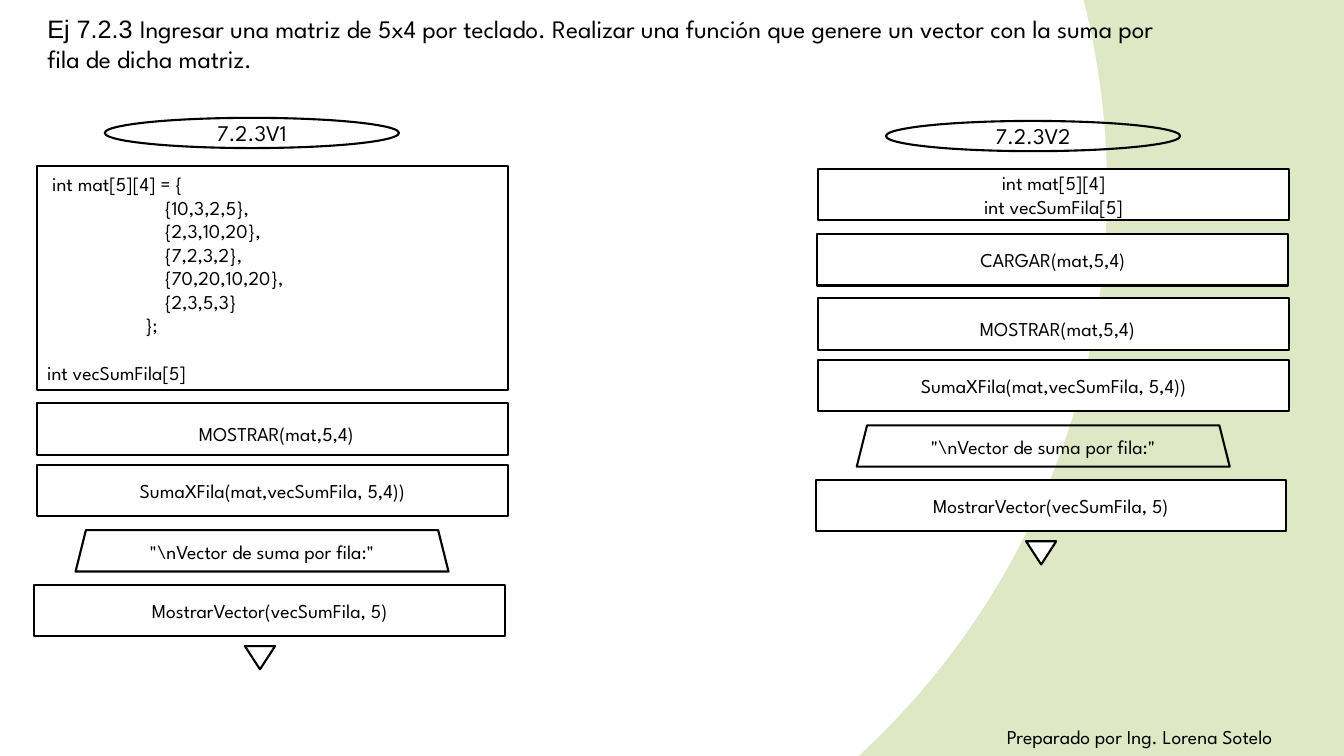
"""Build the slide that compares two flow diagrams for the row sums of a matrix."""
from pptx import Presentation
from pptx.dml.color import RGBColor
from pptx.enum.shapes import MSO_SHAPE as SHAPE
from pptx.enum.text import MSO_ANCHOR as ANCHOR, MSO_AUTO_SIZE as AUTO, PP_ALIGN as ALIGN
from pptx.oxml import parse_xml
from pptx.oxml.ns import nsdecls
from pptx.util import Pt

BLACK = RGBColor(0x00, 0x00, 0x00)
WHITE = RGBColor(0xFF, 0xFF, 0xFF)
GREEN = RGBColor(0xDF, 0xE8, 0xC4)
FONT = "League Spartan"
BOX_W, BOX_H = 336.2, 36.7
V1_X, V2_X = 26.6, 584.6
CODE = [
    ("int mat[5][4] = {", 3.6, 0),
    ("{10,3,2,5},", 84, 0),
    ("{2,3,10,20},", 84, 0),
    ("{7,2,3,2},", 84, 0),
    ("{70,20,10,20},", 84, 0),
    ("{2,3,5,3}", 84, 0),
    ("};", 70, 0),
    ("int vecSumFila[5]", 0, 17),
]


class Diagram:
    def __init__(self, prs):
        self.s = prs.slides.add_slide(prs.slide_layouts[5])

    def background(self, inner, outer):
        stops = "".join(
            f'<a:gs pos="100000"><a:srgbClr val="{c}"/></a:gs>' for c in (inner, outer))
        self.s._element.cSld.insert(0, parse_xml(
            f'<p:bg {nsdecls("p", "a")}><p:bgPr><a:gradFill><a:gsLst>{stops}</a:gsLst>'
            '<a:path path="circle"><a:fillToRect l="50000" t="50000" r="100000" b="100000"/>'
            '</a:path></a:gradFill><a:effectLst/></p:bgPr></p:bg>'))

    def style(self, r, size, font=FONT):
        r.font.name, r.font.size = font, Pt(size)
        r.font.color.rgb = BLACK

    def title(self, label, text, x, y, w, h):
        sp = self.s.shapes.title
        sp.left, sp.top, sp.width, sp.height = Pt(x), Pt(y), Pt(w), Pt(h)
        tf = sp.text_frame
        tf.auto_size, tf.vertical_anchor, tf.word_wrap = AUTO.NONE, ANCHOR.TOP, True
        p = tf.paragraphs[0]
        p.alignment = ALIGN.LEFT
        for part, font in ((label, "Arial"), (text, FONT)):
            r = p.add_run()
            r.text = part
            self.style(r, 18, font)

    def credit(self, text, x, y, w, h):
        tf = self.s.shapes.add_textbox(Pt(x), Pt(y), Pt(w), Pt(h)).text_frame
        tf.word_wrap = False
        tf.text = text
        self.style(tf.paragraphs[0].runs[0], 14)

    def shape(self, kind, x, y, w, h, lines=(), size=14, fill=WHITE):
        sp = self.s.shapes.add_shape(kind, Pt(x), Pt(y), Pt(w), Pt(h))
        sp.shadow.inherit = False
        if fill is None:
            sp.fill.background()
        else:
            sp.fill.solid()
            sp.fill.fore_color.rgb = fill
        sp.line.color.rgb, sp.line.width = BLACK, Pt(1.5)
        tf = sp.text_frame
        tf.vertical_anchor, tf.word_wrap = ANCHOR.MIDDLE, True
        tf.text = "\n".join(lines)
        for p in tf.paragraphs:
            p.alignment = ALIGN.CENTER
            for r in p.runs:
                self.style(r, size)
        return sp

    def process(self, x, y, *lines, h=BOX_H):
        return self.shape(SHAPE.FLOWCHART_PROCESS, x, y, BOX_W, h, lines)

    def start(self, x, y, name):
        self.shape(SHAPE.OVAL, x + 48.2, y, 210.2, 21.6, [name], size=16, fill=None)

    def code(self, x, y, h, rows):
        sp = self.process(x, y, *(text for text, _, _ in rows), h=h)
        for p, (_, indent, gap) in zip(sp.text_frame.paragraphs, rows):
            p.alignment, p.space_before = ALIGN.LEFT, Pt(gap)
            pPr = p._p.get_or_add_pPr()
            pPr.set("marL", str(Pt(indent)))
            pPr.set("indent", "0")

    def common_steps(self, x, y):
        tf = self.process(x, y, "MOSTRAR(mat,5,4)").text_frame
        tf.margin_left, tf.margin_top = Pt(12.5), Pt(10)
        self.process(x, y + 43.9, "SumaXFila(mat,vecSumFila, 5,4))")
        self.shape(SHAPE.TRAPEZOID, x + 27.4, y + 90.7, 266.4, 29.5,
                   ['"\\nVector de suma por fila:"'], fill=None)
        self.process(x - 2, y + 129.6, "MostrarVector(vecSumFila, 5)")
        self.shape(SHAPE.ISOSCELES_TRIANGLE, x + 148.3, y + 173.5, 21.6, 16.6).rotation = 180


def main():
    prs = Presentation()
    prs.slide_width, prs.slide_height = Pt(960), Pt(540)
    d = Diagram(prs)
    d.background(WHITE, GREEN)
    d.title("Ej 7.2.3 ", "Ingresar una matriz de 5x4 por teclado. Realizar una función que "
            "genere un vector con la suma por fila de dicha matriz.", 26.6, 5.8, 805, 51.1)
    d.credit("Preparado por Ing. Lorena Sotelo", 712.1, 514.1, 240.5, 24.5)

    d.start(V1_X, 84.2, "7.2.3V1")
    d.code(V1_X, 118.8, 159.8, CODE)
    d.common_steps(V1_X, 288)

    d.start(V2_X, 86.4, "7.2.3V2")
    d.process(V2_X, 120.5, "int mat[5][4]", "int vecSumFila[5]")
    d.process(V2_X - 0.7, 167.2, "CARGAR(mat,5,4)")
    d.common_steps(V2_X, 213.1)
    prs.save("out.pptx")


if __name__ == "__main__":
    main()
